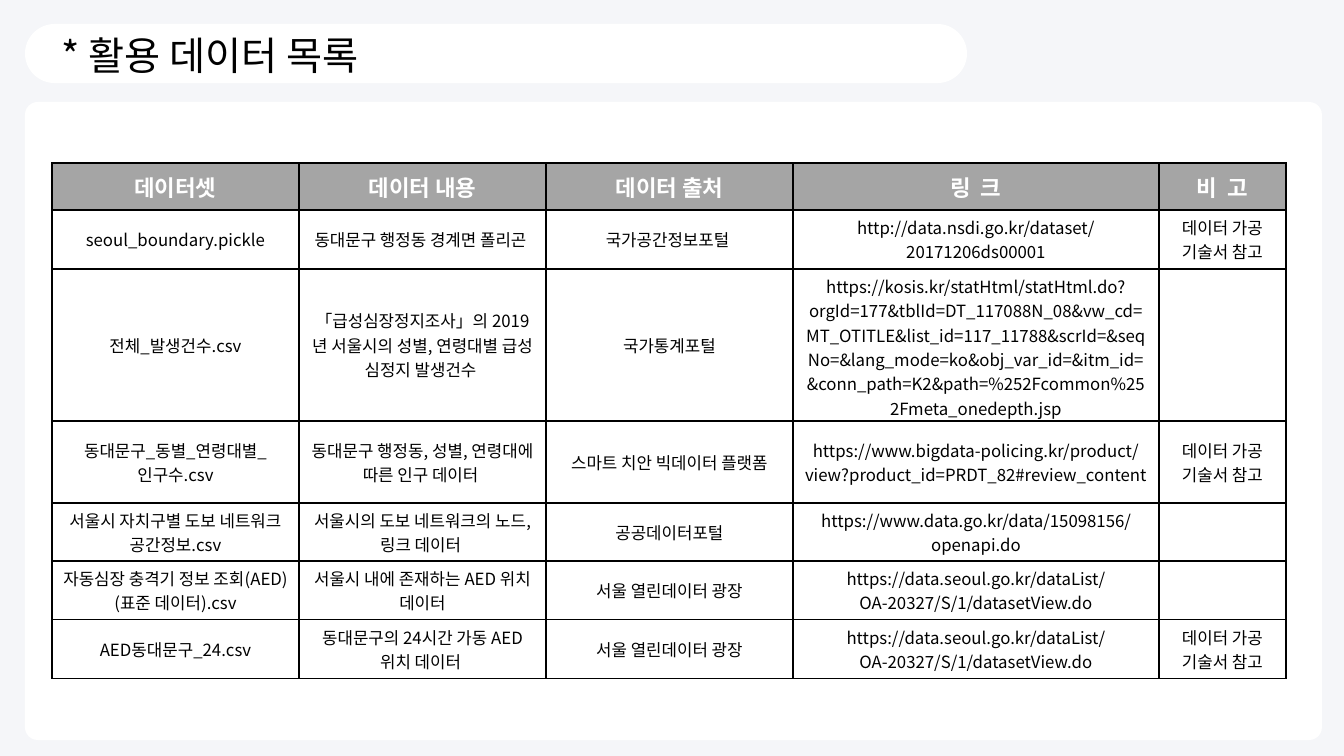
"""Build the slide that lists the data sets used."""
from lxml.etree import SubElement
from pptx import Presentation
from pptx.dml.color import RGBColor
from pptx.enum.shapes import MSO_SHAPE as SHAPE
from pptx.enum.text import MSO_ANCHOR as ANCHOR, MSO_AUTO_SIZE as AUTO, PP_ALIGN as ALIGN
from pptx.oxml.ns import qn

FONT = "Noto Sans CJK KR"
TITLE = "* 활용 데이터 목록"
TITLE_BOX = (52, 26, 613, 57)
PANELS = [((25, 102, 1297, 638), 0.02), ((25, 24, 942, 59), 0.5)]
NOTE = "데이터 가공\v기술서 참고"
SEOUL_URL = "https://data.seoul.go.kr/dataList/OA-20327/S/1/datasetView.do"
KOSIS_URL = ("https://kosis.kr/statHtml/statHtml.do?orgId=177&tblId=DT_117088N_08"
             "&vw_cd=MT_OTITLE&list_id=117_11788&scrId=&seqNo=&lang_mode=ko"
             "&obj_var_id=&itm_id=&conn_path=K2"
             "&path=%252Fcommon%252Fmeta_onedepth.jsp")
ROWS = [
    ("데이터셋", "데이터 내용", "데이터 출처", "링  크", "비  고"),
    ("seoul_boundary.pickle", "동대문구 행정동 경계면 폴리곤 ", "국가공간정보포털 ",
     "http://data.nsdi.go.kr/dataset/20171206ds00001", NOTE),
    ("전체_발생건수.csv",
     "「급성심장정지조사」의 2019년 서울시의 성별, 연령대별 급성 심정지 발생건수 ",
     "국가통계포털", KOSIS_URL, ""),
    ("동대문구_동별_연령대별_인구수.csv",
     "동대문구 행정동, 성별, 연령대에 따른 인구 데이터 ", "스마트 치안 빅데이터 플랫폼",
     "https://www.bigdata-policing.kr/product/view?product_id=PRDT_82#review_content", NOTE),
    ("서울시 자치구별 도보 네트워크 공간정보.csv",
     "서울시의 도보 네트워크의 노드, 링크 데이터 ", "공공데이터포털",
     "https://www.data.go.kr/data/15098156/openapi.do", ""),
    ("자동심장 충격기 정보 조회(AED)(표준 데이터).csv",
     "서울시 내에 존재하는 AED 위치 데이터", "서울 열린데이터 광장", SEOUL_URL, ""),
    ("AED동대문구_24.csv", "동대문구의 24시간 가동 AED 위치 데이터 ",
     "서울 열린데이터 광장", SEOUL_URL, NOTE),
]
COL_W = [247, 247, 247, 366, 127]
ROW_H = [47, 59, 152, 82, 58, 59, 59]
TABLE_AT = (52, 163)
HEAD = {"fill": "A5A5A5", "color": "FFFFFF", "font": {"size": 16, "bold": True}}
BODY = {"fill": "FFFFFF", "color": "000000", "font": {"size": 12, "bold": False}}


def px(n):
    return round(n * 914400 / 100.8)


def rgb(value):
    return RGBColor.from_string(value)


def paint(obj, color):
    obj.fill.solid()
    obj.fill.fore_color.rgb = rgb(color)


def write(tf, text, color, font):
    tf.text = text
    for r in tf.paragraphs[0].runs:
        r.font.color.rgb = rgb(color)
        for key, value in {**font, "name": FONT}.items():
            setattr(r.font, key, value * 12700 if key == "size" else value)
        SubElement(r.font._element, qn("a:ea"), typeface=FONT)


def add_borders(cell):
    tc_pr = cell._tc.get_or_add_tcPr()
    for i, side in enumerate(("lnL", "lnR", "lnT", "lnB")):
        ln = tc_pr.makeelement(qn(f"a:{side}"), {"w": "12700"})
        SubElement(SubElement(ln, qn("a:solidFill")), qn("a:srgbClr"), val="000000")
        tc_pr.insert(i, ln)


def add_panel(s, box, radius):
    sp = s.shapes.add_shape(SHAPE.ROUNDED_RECTANGLE, *map(px, box))
    sp.adjustments[0] = radius
    sp.shadow.inherit = False
    paint(sp, "FFFFFF")
    sp.line.fill.background()


def add_title(s):
    tf = s.shapes.add_textbox(*map(px, TITLE_BOX)).text_frame
    write(tf, TITLE, "000000", {"size": 28})
    for key, value in {"word_wrap": True, "auto_size": AUTO.SHAPE_TO_FIT_TEXT}.items():
        setattr(tf, key, value)


def add_data_table(s):
    box = (*TABLE_AT, sum(COL_W), sum(ROW_H))
    table = s.shapes.add_table(len(ROWS), len(COL_W), *map(px, box)).table
    table.horz_banding = False
    for col, width in zip(table.columns, COL_W):
        col.width = px(width)
    for i, (row, height, texts) in enumerate(zip(table.rows, ROW_H, ROWS)):
        row.height = px(height)
        style = BODY if i else HEAD
        for cell, text in zip(row.cells, texts):
            write(cell.text_frame, text, style["color"], style["font"])
            cell.text_frame.paragraphs[0].alignment = ALIGN.CENTER
            cell.vertical_anchor = ANCHOR.MIDDLE
            paint(cell, style["fill"])
            add_borders(cell)


def main():
    prs = Presentation()
    prs.slide_width, prs.slide_height = px(1344), px(756)
    s = prs.slides.add_slide(prs.slide_layouts[6])
    paint(s.background, "F5F6F9")
    for box, radius in PANELS:
        add_panel(s, box, radius)
    add_title(s)
    add_data_table(s)
    prs.save("out.pptx")


if __name__ == "__main__":
    main()
